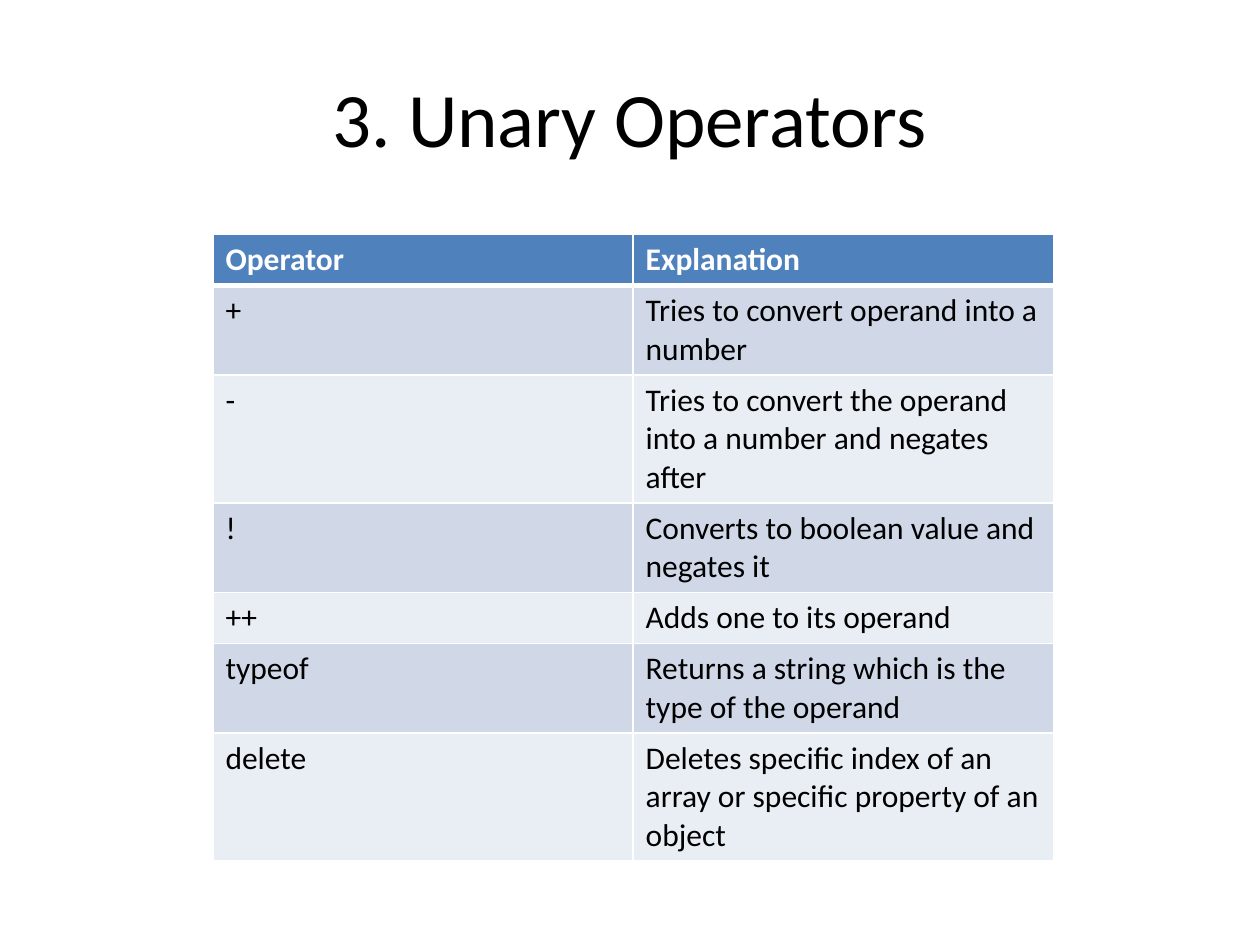
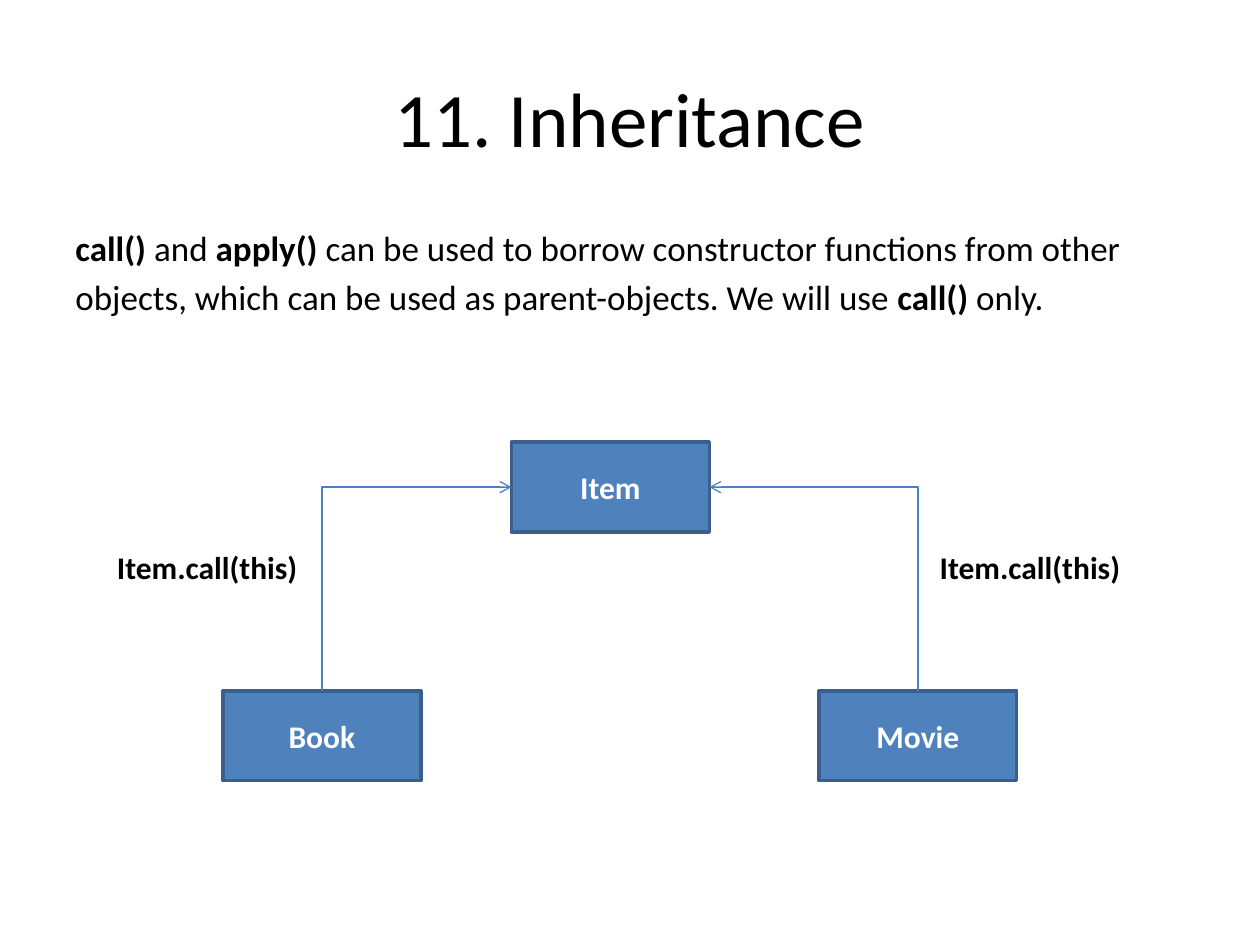
from lxml import etree
from pptx import Presentation
from pptx import util as u
from pptx.dml.color import RGBColor
from pptx.enum import shapes, text
from pptx.oxml.ns import qn

FONT = "Calibri"
COLOURS = {"ink": "000000", "paper": "FFFFFF", "blue": "4F81BD", "edge": "3A5F8C",
           "arrow": "4B7EBC", "odd": "D0D8E8", "even": "E9EDF4"}
COLOUR = {name: RGBColor.from_string(value) for name, value in COLOURS.items()}

deck = Presentation()
deck.slide_width, deck.slide_height = u.Inches(10), u.Inches(7.5)


def share(left, top, width, height):
    """Turn shares of the slide's size into lengths."""
    wide, high = deck.slide_width, deck.slide_height
    return [round(part * side) for part, side in
            zip((left, top, width, height), (wide, high, wide, high))]


def write(frame, *paras, size=18, colour="ink", bold=False, align=None, anchor=None,
          wrap=True, before=None):
    """Fill a text frame; a paragraph is a string or a list of (text, bold) spans."""
    frame.word_wrap = wrap
    if anchor is not None:
        frame.vertical_anchor = anchor
    for index, spans in enumerate(paras):
        para = frame.add_paragraph() if index else frame.paragraphs[0]
        para.alignment = align
        para.space_before = before
        for words, strong in [(spans, bold)] if isinstance(spans, str) else spans:
            span = para.add_run()
            span.text = words
            span.font.name, span.font.size = FONT, u.Pt(size)
            span.font.bold, span.font.color.rgb = strong, COLOUR[colour]


CENTRED = {"align": text.PP_ALIGN.CENTER, "anchor": text.MSO_ANCHOR.MIDDLE}

# Both slides: a title-only page with a centred title
pages = []
for heading in ("3. Unary Operators", "11. Inheritance"):
    page = deck.slides.add_slide(deck.slide_layouts[5])
    title = page.shapes.title
    title.left, title.top, title.width, title.height = share(0.05, 0.04, 0.9, 0.167)
    write(title.text_frame, heading, size=44, **CENTRED)
    pages.append(page)
operators_page, inheritance_page = pages

# Operators table
rows = [
    ("Operator", "Explanation"),
    ("+", "Tries to convert operand into a number"),
    ("-", "Tries to convert the operand into a number and negates after"),
    ("!", "Converts to boolean value and negates it"),
    ("++", "Adds one to its operand"),
    ("typeof", "Returns a string which is the type of the operand"),
    ("delete", "Deletes specific index of an array or specific property of an object"),
]
table = operators_page.shapes.add_table(
    len(rows), 2, *share(0.169, 0.248, 0.667, 0.054 * len(rows))).table
for r, row in enumerate(rows):
    for c, words in enumerate(row):
        cell = table.cell(r, c)
        header = r == 0
        write(cell.text_frame, words, bold=header, colour="paper" if header else "ink")
        properties = cell._tc.get_or_add_tcPr()
        for side in ("lnL", "lnR", "lnT", "lnB"):
            thick = (header and side == "lnB") or (r == 1 and side == "lnT")
            border = etree.SubElement(properties, qn("a:" + side),
                                      w=str(u.Pt(3 if thick else 1)))
            solid = etree.SubElement(border, qn("a:solidFill"))
            etree.SubElement(solid, qn("a:srgbClr"), val=COLOURS["paper"])
        cell.fill.solid()
        cell.fill.fore_color.rgb = COLOUR["blue" if header else "odd" if r % 2 else "even"]

# Introduction to inheritance
intro = inheritance_page.shapes.add_textbox(*share(0.05, 0.233, 0.9, 0.66)).text_frame
write(intro,
      [("call() ", True), ("and ", False), ("apply()", True),
       (" can be used to borrow constructor functions from other", False)],
      [("objects, which can be used as parent-objects. We will use ", False),
       ("call()", True), (" only.", False)],
      size=20, before=u.Pt(4))
for para in intro.paragraphs:
    hanging = para._p.get_or_add_pPr()
    hanging.set("marL", str(u.Inches(0.38)))
    hanging.set("indent", str(-u.Inches(0.38)))

# Parent and child boxes
boxes = {}
for name, left, top in (("Item", 0.406, 0.468), ("Book", 0.177, 0.731), ("Movie", 0.65, 0.731)):
    box = inheritance_page.shapes.add_shape(
        shapes.MSO_SHAPE.RECTANGLE, *share(left, top, 0.157, 0.095))
    box.shadow.inherit = False
    box.fill.solid()
    box.fill.fore_color.rgb = COLOUR["blue"]
    box.line.color.rgb, box.line.width = COLOUR["edge"], u.Pt(2)
    write(box.text_frame, name, colour="paper", bold=True, **CENTRED)
    boxes[name] = box

# Each child points to its side of the parent, with the call beside the arrow
LEFT_SITE, TOP_SITE, RIGHT_SITE = 1, 0, 3
for child, site, label_left in (("Book", LEFT_SITE, 0.083), ("Movie", RIGHT_SITE, 0.736)):
    arrow = inheritance_page.shapes.add_connector(shapes.MSO_CONNECTOR.ELBOW, 0, 0, 0, 0)
    arrow.begin_connect(boxes["Item"], site)
    arrow.end_connect(boxes[child], TOP_SITE)
    arrow.line.color.rgb, arrow.line.width = COLOUR["arrow"], u.Pt(0.75)
    arrow._element.spPr.find(qn("a:prstGeom")).set("prst", "bentConnector2")
    etree.SubElement(arrow.line._get_or_add_ln(), qn("a:headEnd"), type="arrow")
    etree.SubElement(arrow._element.spPr, qn("a:effectLst"))
    label = inheritance_page.shapes.add_textbox(*share(label_left, 0.573, 0.164, 0.054))
    write(label.text_frame, "Item.call(this)", bold=True, wrap=False)

deck.save("out.pptx")
